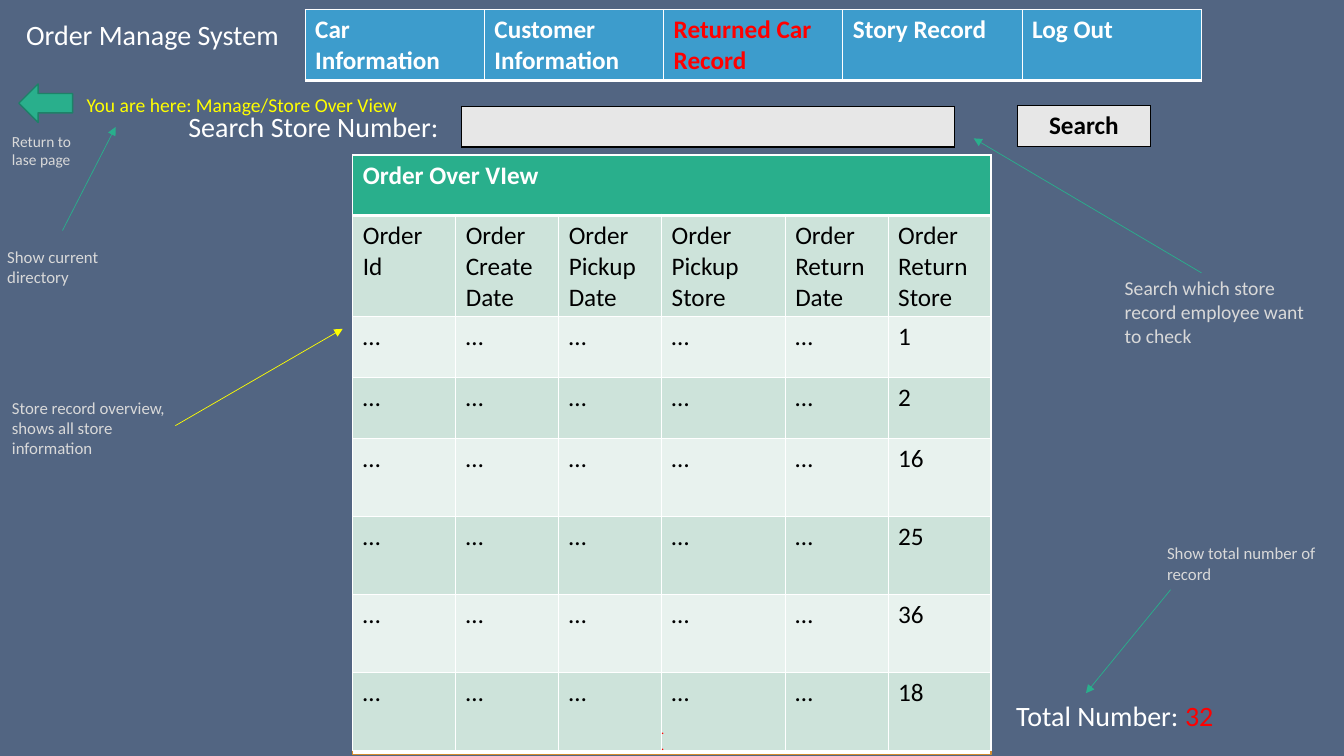
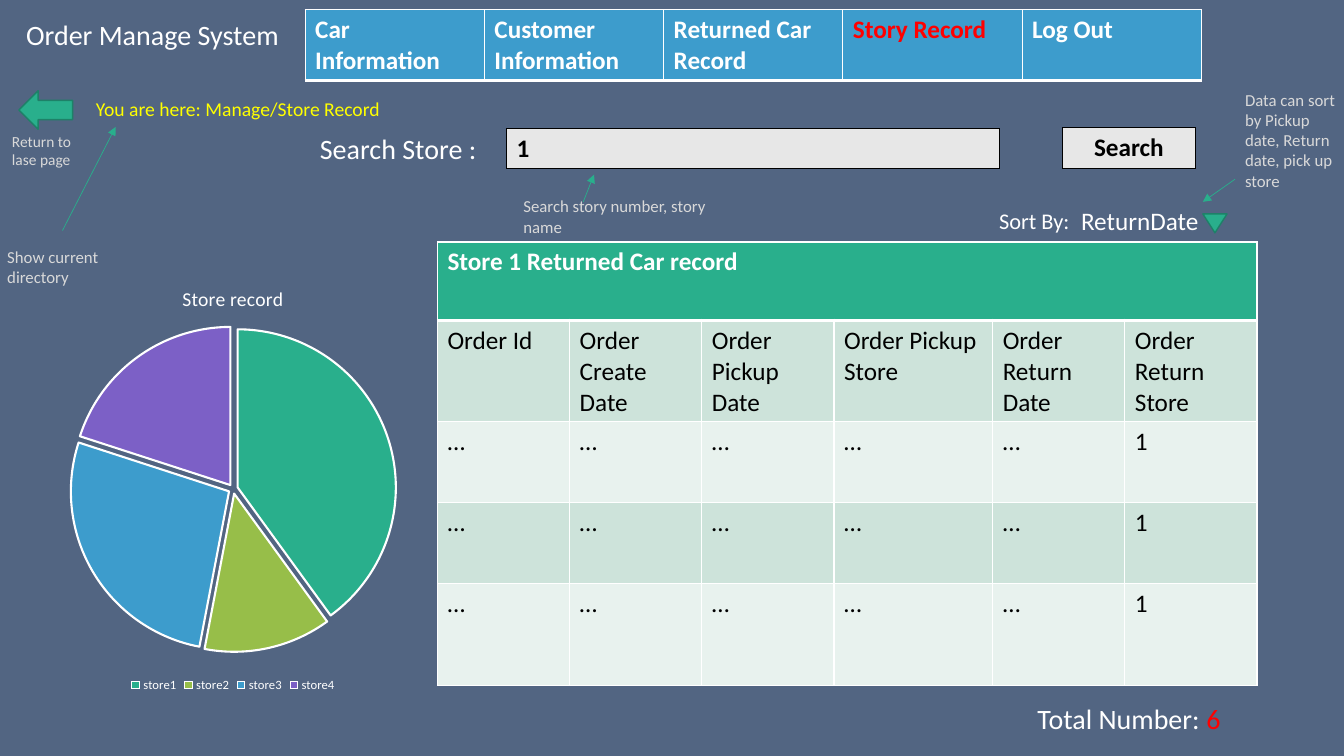
from lxml.etree import SubElement
from pptx import Presentation
from pptx.chart.data import CategoryChartData
from pptx.dml.color import RGBColor
from pptx.enum.chart import XL_CHART_TYPE, XL_LEGEND_POSITION
from pptx.enum.shapes import MSO_CONNECTOR, MSO_SHAPE
from pptx.enum.text import PP_ALIGN
from pptx.oxml.ns import qn
from pptx.util import Inches, Pt

FONT = "Calibri"
C = {
    "back": "526582", "white": "FFFFFF", "black": "000000", "note": "D9D9D9",
    "yellow": "FFFF00", "red": "FF0000", "nav": "3D9CCC", "field": "E7E7E7",
    "green": "29AF8C", "green_edge": "1E8168", "orange": "D58C2E",
    "band_dark": "CDE3DA", "band_light": "E8F2EE", "lime": "97BE49", "violet": "7C60C6",
}
NAV = ["Car Information", "Customer \nInformation", "Returned Car Record", "Story Record", "Log Out"]
ORDER_FIELDS = ["Order Id", "Order Create Date", "Order Pickup\nDate", "Order Pickup\nStore",
                "Order Return Date", "Order Return Store"]
ORDER_COLS = [1, 1, 1, 1.2, 1, 1]
HEAD_ROW = 13.3

prs = Presentation()
prs.slide_width, prs.slide_height = Inches(13.333), Inches(7.5)


def rgb(name):
    """Colour of the palette by name."""
    return RGBColor.from_string(C[name])


def across(share):
    """Length of a percentage of the slide width."""
    return int(prs.slide_width * share / 100)


def down(share):
    """Length of a percentage of the slide height."""
    return int(prs.slide_height * share / 100)


def place(x, y, w, h):
    """Box in percent of the slide, as slide lengths."""
    return across(x), down(y), across(w), down(h)


def set_font(font, size, color, bold=False):
    """Apply the deck's typeface with a size and colour."""
    font.name, font.size, font.bold = FONT, Pt(size), bold
    font.color.rgb = rgb(color)


def text(s, box, words, size=12, color="note", align=PP_ALIGN.LEFT):
    """Wrapped text box; returns its text frame."""
    tf = s.shapes.add_textbox(*place(*box)).text_frame
    tf.word_wrap = True
    tf.text = words
    for p in tf.paragraphs:
        p.alignment = align
        set_font(p.font, size, color)
    return tf


def shape(s, kind, box, fill="green", line="green_edge"):
    """Preset shape with a flat fill and a thin outline."""
    sp = s.shapes.add_shape(kind, *place(*box))
    sp.shadow.inherit = False
    sp.fill.solid()
    sp.fill.fore_color.rgb = rgb(fill)
    sp.line.color.rgb = rgb(line)
    sp.line.width = Pt(1)
    return sp


def pointer(s, x1, y1, x2, y2, color="green"):
    """Thin arrow from a note to what it explains."""
    cx = s.shapes.add_connector(MSO_CONNECTOR.STRAIGHT, across(x1), down(y1), across(x2), down(y2))
    cx.line.color.rgb = rgb(color)
    cx.line.width = Pt(0.5)
    SubElement(cx.line._get_or_add_ln(), qn("a:tailEnd"), type="triangle")
    SubElement(cx._element.spPr, qn("a:effectLst"))


def borders(cell, color, top=1, bottom=1):
    """Draw the four edges of a cell, widths in points."""
    tc_pr = cell._tc.get_or_add_tcPr()
    for side, width in (("L", 1), ("R", 1), ("T", top), ("B", bottom)):
        ln = SubElement(tc_pr, qn(f"a:ln{side}"), w=str(Pt(width)))
        SubElement(SubElement(ln, qn("a:solidFill")), qn("a:srgbClr"), val=C[color])


def table(s, x, y, cols, rows, texts, fills, ink="white", edge="white", rule=3):
    """Table with a bold first row, one fill per row and a rule under the first row."""
    t = s.shapes.add_table(len(rows), len(cols), *place(x, y, sum(cols), sum(rows))).table
    t.first_row = t.horz_banding = False
    for col, w in zip(t.columns, cols):
        col.width = across(w)
    for i, (h, line, fill) in enumerate(zip(rows, texts, fills)):
        t.rows[i].height = down(h)
        for cell, words in zip(t.rows[i].cells, line):
            borders(cell, edge, rule if i == 1 else 1, rule if i == 0 else 1)
            cell.fill.solid()
            cell.fill.fore_color.rgb = rgb(fill)
            cell.text_frame.text = words
            for p in cell.text_frame.paragraphs:
                set_font(p.font, 18, "black" if i else ink, bold=i == 0)
    return t


def page_frame(active, crumb, arrow_y, crumb_x, crumb_y):
    """New slide with title, navigation, back arrow, breadcrumb and their notes."""
    s = prs.slides.add_slide(prs.slide_layouts[6])
    s.background.fill.solid()
    s.background.fill.fore_color.rgb = rgb("back")
    text(s, (0, 1.6, 22.7, 5.9), "Order Manage System", 20, "white", PP_ALIGN.CENTER)
    nav = table(s, 22.7, 1.3, [66.7 / len(NAV)] * len(NAV), [9.3], [NAV], ["nav"])
    for p in nav.cell(0, NAV.index(active)).text_frame.paragraphs:
        p.font.color.rgb = rgb("red")
    shape(s, MSO_SHAPE.LEFT_ARROW, (1.4, arrow_y, 4, 5.1))
    text(s, (crumb_x, crumb_y, 31.8, 4.5), f"You are here: {crumb}", 14, "yellow")
    text(s, (0.15, 16.8, 6.45, 6.3), "Return to lase page", 11)
    pointer(s, 4.65, 30.5, 8.6, 16.8)
    text(s, (-0.2, 32, 11.85, 6.7), "Show current directory")
    return s


def search_bar(s, x, y, label_x, label, query=""):
    """Label, input field and button; x and y belong to the field."""
    text(s, (label_x, y - 0.3, 22.95, 5.9), label, 20, "white", PP_ALIGN.CENTER)
    look = dict(fills=["field"], ink="black", edge="black", rule=1)
    table(s, x, y, [36.7], [5.3], [[query]], **look)
    button = table(s, x + 41.35, y - 0.1, [9.9], [5.3], [["Search"]], **look)
    button.cell(0, 0).text_frame.paragraphs[0].alignment = PP_ALIGN.CENTER


def order_table(s, x, y, w, rows, heading, stores):
    """Order list with a merged heading and one banded row per return store."""
    unit = w / sum(ORDER_COLS)
    n = len(ORDER_COLS)
    texts = [[heading] + [""] * (n - 1), ORDER_FIELDS]
    texts += [["…"] * (n - 1) + [store] for store in stores]
    fills = ["green"] + [("band_dark", "band_light")[i % 2] for i in range(len(rows) - 1)]
    t = table(s, x, y, [unit * c for c in ORDER_COLS], rows, texts, fills)
    t.cell(0, 0).merge(t.cell(0, n - 1))


def total(s, x, y, count):
    """Record count with the number in red."""
    tf = text(s, (x, y, 16.8, 5.9), "Total Number: ", 20, "white", PP_ALIGN.CENTER)
    r = tf.paragraphs[0].add_run()
    r.text = count
    r.font.color.rgb = rgb("red")


def chart_layout(parent, index, **shares):
    """Fix the place of a chart part in shares of the chart."""
    for old in parent.findall(qn("c:layout")):
        parent.remove(old)
    layout = parent.makeelement(qn("c:layout"))
    parent.insert(index, layout)
    manual = SubElement(layout, qn("c:manualLayout"))
    if "w" in shares:
        SubElement(manual, qn("c:layoutTarget"), val="inner")
    for axis in "xy":
        SubElement(manual, qn(f"c:{axis}Mode"), val="edge")
    for key, share in shares.items():
        SubElement(manual, qn(f"c:{key}"), val=str(share))


def store_pie(s, box):
    """Exploded pie of records per store."""
    data = CategoryChartData()
    data.categories = ["store1", "store2", "store3", "store4"]
    data.add_series("Series 1", (40, 13, 27, 20))
    chart = s.shapes.add_chart(XL_CHART_TYPE.PIE, *place(*box), data).chart
    set_font(chart.font, 10, "white")
    chart.has_title = True
    title = chart.chart_title
    title.text_frame.text = "Store record"
    set_font(title.text_frame.paragraphs[0].font, 14, "white")
    title.include_in_layout = False
    chart_layout(title._element, 1, x=0.41, y=0.05)
    chart_layout(chart._chartSpace.chart.plotArea, 0, x=0.23, y=0.15, w=0.54, h=0.75)
    chart.has_legend = True
    chart.legend.position = XL_LEGEND_POSITION.BOTTOM
    chart.legend.include_in_layout = False
    set_font(chart.legend.font, 9, "white")
    plot = chart.plots[0]
    plot.vary_by_categories = True
    series = plot.series[0]
    for i, color in enumerate(("green", "lime", "nav", "violet")):
        fmt = series.points[i].format
        fmt.fill.solid()
        fmt.fill.fore_color.rgb = rgb(color)
        fmt.line.color.rgb = rgb("white")
        fmt.line.width = Pt(1.5)
    ser = series._element
    explosion = ser.makeelement(qn("c:explosion"), val="3")
    ser.find(qn("c:tx")).addnext(explosion)


def sort_control(s, x, y):
    """Sort label, chosen field and drop-down mark."""
    text(s, (x, y + 0.2, 12.6, 4.9), "Sort By:", 16, "white")
    text(s, (x + 6.1, y, 12.2, 5.3), "ReturnDate", 18, "white")
    mark = shape(s, MSO_SHAPE.ISOSCELES_TRIANGLE, (x + 15.9, y + 1.8, 1.8, 2.5))
    mark.rotation = 180


def overview_slide():
    """All orders across the stores."""
    s = page_frame("Returned Car Record", "Manage/Store Over View", 11.1, 5.7, 11.6)
    search_bar(s, 34.35, 14.1, 11.85, "Search Store Number:")
    shape(s, MSO_SHAPE.RECTANGLE, (26.25, 20.5, 47.5, 79.3), "white", "orange")
    order_table(s, 26.25, 20.5, 47.5, [8, HEAD_ROW] + [8.1] * 2 + [10.3] * 4,
                "Order Over VIew", ["1", "2", "16", "25", "36", "18"])
    text(s, (48.45, 94.9, 18.3, 5.3), ".\n.", 9, "red")
    total(s, 74.55, 91.7, "32")
    text(s, (0.15, 51.9, 15, 9.5), "Store record overview, shows all store information")
    pointer(s, 13.05, 56.3, 25.5, 43.5, "yellow")
    text(s, (82.95, 35.9, 16.1, 10.8), "Search which store record employee want to check", 14)
    pointer(s, 89.4, 36.1, 72.45, 18.3)
    text(s, (86.1, 71.2, 13.5, 6.7), "Show total number of record")
    pointer(s, 87.1, 78, 80.8, 91.7)


def store_slide():
    """Returned cars of one store, with the share of each store."""
    s = page_frame("Story Record", "Manage/Store Record", 12, 6.4, 12.1)
    store_pie(s, (-5.1, 34.4, 44.9, 57.7))
    order_table(s, 32.55, 32, 61, [10.4, HEAD_ROW, 10.7, 10.7, 13.5],
                "Store 1 Returned Car record", ["1"] * 3)
    search_bar(s, 37.7, 17, 18.15, "Search Store :", "1")
    total(s, 75.6, 92.1, "6")
    sort_control(s, 73.6, 26.5)
    text(s, (91.9, 11.2, 8.7, 14.8), "Data can sort by Pickup date, Return date, pick up store")
    pointer(s, 91.9, 23.7, 89.5, 26.7)
    text(s, (38.2, 25.3, 16.65, 6.7), "Search story number, story name")
    pointer(s, 43.4, 26.7, 44.2, 23.1)


overview_slide()
store_slide()
prs.save("out.pptx")
